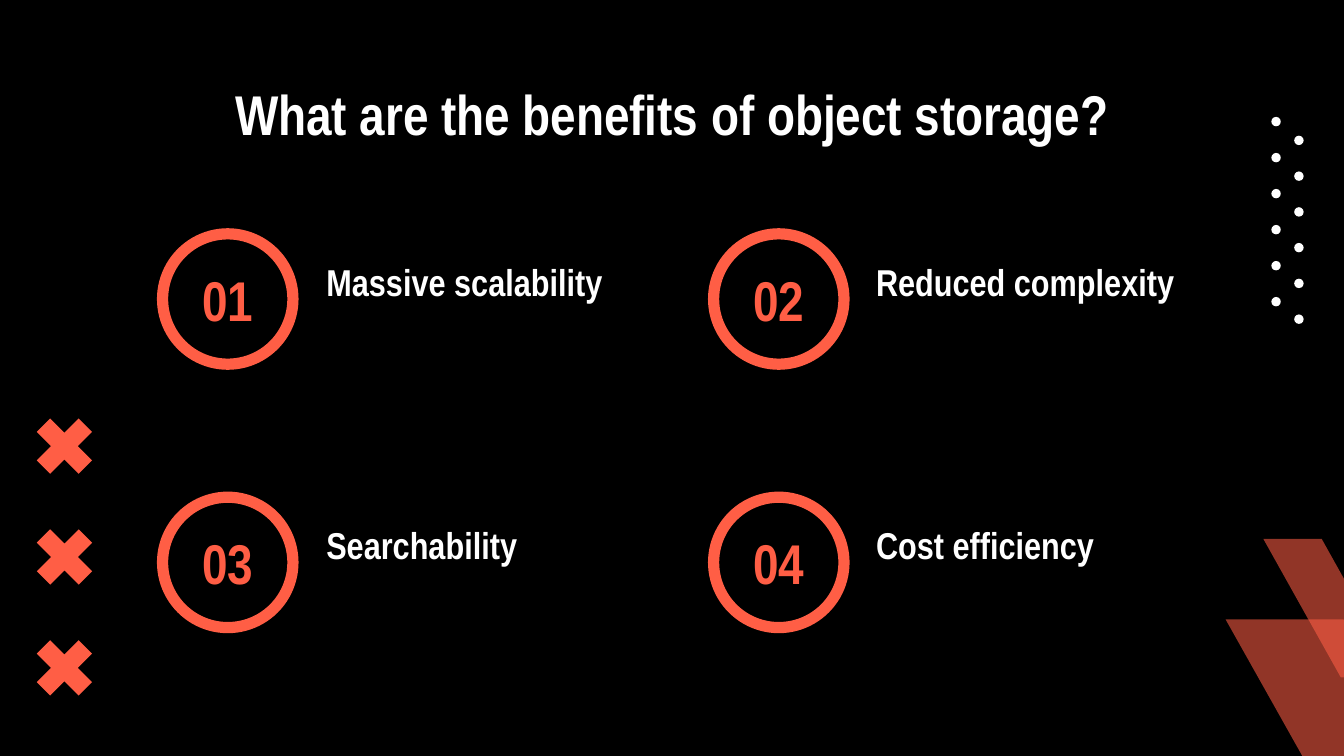
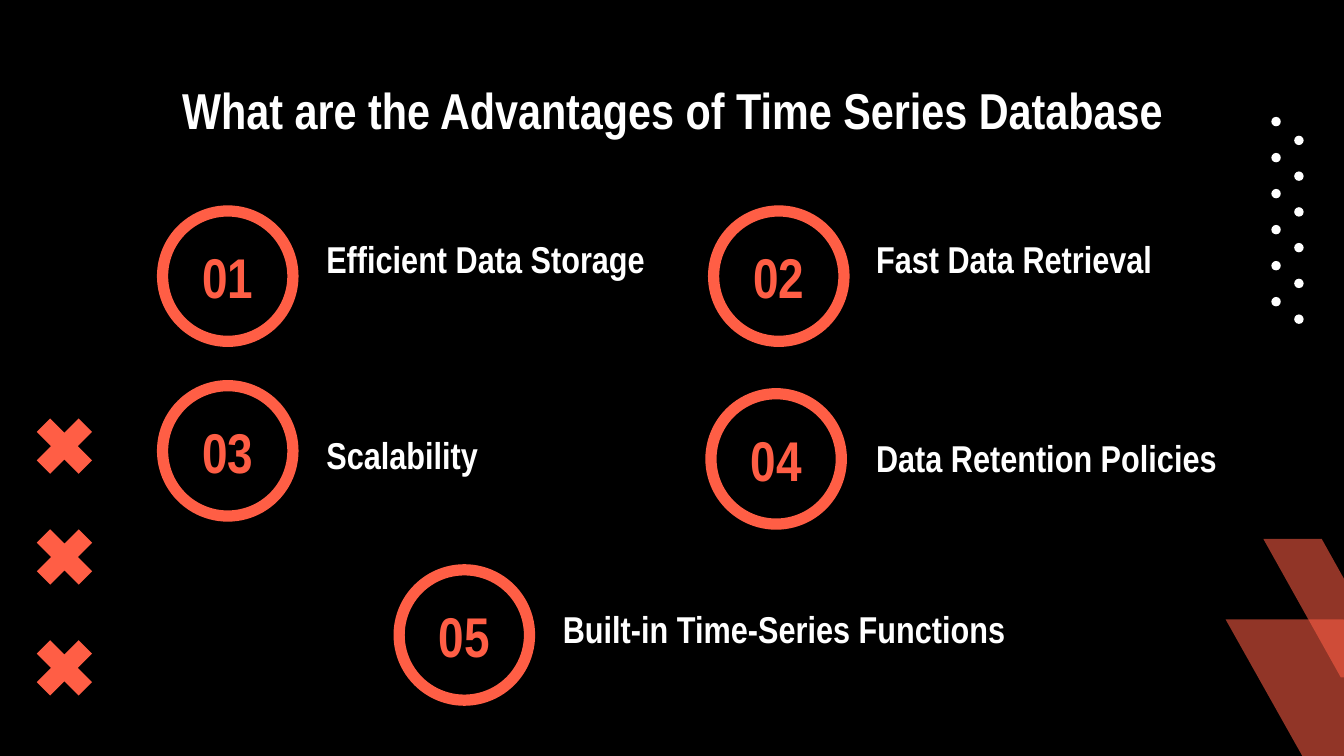
from lxml import etree
from pptx import Presentation
from pptx.dml.color import RGBColor
from pptx.enum.shapes import MSO_SHAPE
from pptx.enum.text import MSO_ANCHOR, PP_ALIGN
from pptx.oxml.ns import qn
from pptx.util import Inches, Pt

BLACK = RGBColor(0x00, 0x00, 0x00)
WHITE = RGBColor(0xFF, 0xFF, 0xFF)
CORAL = RGBColor(0xFF, 0x5E, 0x45)
FONT = "Arial Narrow"

ELLIPSE = MSO_SHAPE.OVAL
CROSS = MSO_SHAPE.MATH_MULTIPLY
PARALLELOGRAM = MSO_SHAPE.PARALLELOGRAM
TOP, MIDDLE, BOTTOM = MSO_ANCHOR.TOP, MSO_ANCHOR.MIDDLE, MSO_ANCHOR.BOTTOM
LEFT, CENTER = PP_ALIGN.LEFT, PP_ALIGN.CENTER

# Content: each item is label, ring (left, top), label box (left, top, width)
SLIDES = [
    {
        "title": "What are the benefits of object storage?",
        "title_size": 30,
        "items": [
            ("Massive scalability", (1.21, 1.74), (2.33, 1.51, 2.37)),
            ("Reduced complexity", (5.31, 1.74), (6.42, 1.51, 2.67)),
            ("Searchability", (1.21, 3.7), (2.33, 3.47, 2.37)),
            ("Cost efficiency", (5.31, 3.7), (6.42, 3.47, 2.37)),
        ],
    },
    {
        "title": "What are the Advantages of Time Series Database",
        "title_size": 27,
        "items": [
            ("Efficient Data Storage", (1.21, 1.57), (2.33, 1.34, 2.86)),
            ("Fast Data Retrieval", (5.31, 1.57), (6.42, 1.34, 3.19)),
            ("Scalability", (1.21, 2.87), (2.33, 2.8, 3.45)),
            ("Data Retention Policies", (5.29, 2.93), (6.42, 2.82, 2.86)),
            ("Built-in Time-Series Functions", (2.97, 4.24), (4.09, 4.09, 3.93)),
        ],
    },
]

# Shared layout, in inches
SLIDE_WIDTH = 10
SLIDE_HEIGHT = SLIDE_WIDTH * 9 / 16
TITLE_BOX = (0.79, 0.49, 8.43, 0.63)
RING_SIZE = 0.97
LABEL_HEIGHT = 0.85
SLANTS = [(9.12, 4.61, 2.04, 2.07), (9.4, 4.01, 1.01, 1.03)]
DOT_COLUMNS = [(9.46, 0.87, 2.21), (9.63, 1.01, 2.34)]
DOT_COUNT, DOT_SIZE = 6, 0.07
CROSS_LEFT, CROSS_FIRST, CROSS_LAST = 0.18, 3.02, 4.67
CROSS_COUNT, CROSS_SIZE = 3, 0.6


def spread(first, last, count):
    return [first + (last - first) * index / (count - 1) for index in range(count)]


def add_solid(shapes, kind, box, color):
    shape = shapes.add_shape(kind, *map(Inches, box))
    shape.shadow.inherit = False
    shape.fill.solid()
    shape.fill.fore_color.rgb = color
    shape.line.fill.background()
    return shape


def write(shape, text, size, color, align, anchor):
    frame = shape.text_frame
    frame.word_wrap = True
    frame.vertical_anchor = anchor
    frame.margin_left = frame.margin_right = Inches(0.1)
    frame.margin_top = frame.margin_bottom = Inches(0.1)
    para = frame.paragraphs[0]
    para.text = text
    para.alignment = align
    font = para.runs[0].font
    font.name, font.size, font.bold = FONT, Pt(size), True
    font.color.rgb = color


def add_text(slide, box, text, size, align, anchor):
    write(slide.shapes.add_textbox(*map(Inches, box)), text, size, WHITE, align, anchor)


def add_decoration(slide):
    # Translucent slanted bands in the bottom right corner
    for box in SLANTS:
        slant = add_solid(slide.shapes, PARALLELOGRAM, box, CORAL)
        slant.adjustments[0] = 0.57
        properties = slant._element.spPr
        properties.find(qn("a:xfrm")).set("flipH", "1")
        color = properties.find(qn("a:solidFill"))[0]
        etree.SubElement(color, qn("a:alpha")).set("val", "57000")

    # Two staggered columns of dots
    dots = slide.shapes.add_group_shape()
    for left, first, last in DOT_COLUMNS:
        for top in spread(first, last, DOT_COUNT):
            add_solid(dots.shapes, ELLIPSE, (left, top, DOT_SIZE, DOT_SIZE), WHITE)

    # Crosses down the left edge
    for top in spread(CROSS_FIRST, CROSS_LAST, CROSS_COUNT):
        box = (CROSS_LEFT, top, CROSS_SIZE, CROSS_SIZE)
        add_solid(slide.shapes, CROSS, box, CORAL).adjustments[0] = 0.235


def add_item(slide, number, label, ring_at, label_at):
    ring = slide.shapes.add_shape(ELLIPSE, *map(Inches, (*ring_at, RING_SIZE, RING_SIZE)))
    ring.shadow.inherit = False
    ring.fill.background()
    ring.line.color.rgb = CORAL
    ring.line.width = Pt(6)
    write(ring, f"{number:02d}", 30, CORAL, CENTER, MIDDLE)
    add_text(slide, (*label_at, LABEL_HEIGHT), label, 20, LEFT, BOTTOM)


def main():
    deck = Presentation()
    deck.slide_width, deck.slide_height = Inches(SLIDE_WIDTH), Inches(SLIDE_HEIGHT)

    for content in SLIDES:
        slide = deck.slides.add_slide(deck.slide_layouts[6])
        background = slide.background.fill
        background.solid()
        background.fore_color.rgb = BLACK
        add_decoration(slide)
        add_text(slide, TITLE_BOX, content["title"], content["title_size"], CENTER, TOP)
        for number, item in enumerate(content["items"], start=1):
            add_item(slide, number, *item)

    deck.save("out.pptx")


if __name__ == "__main__":
    main()
